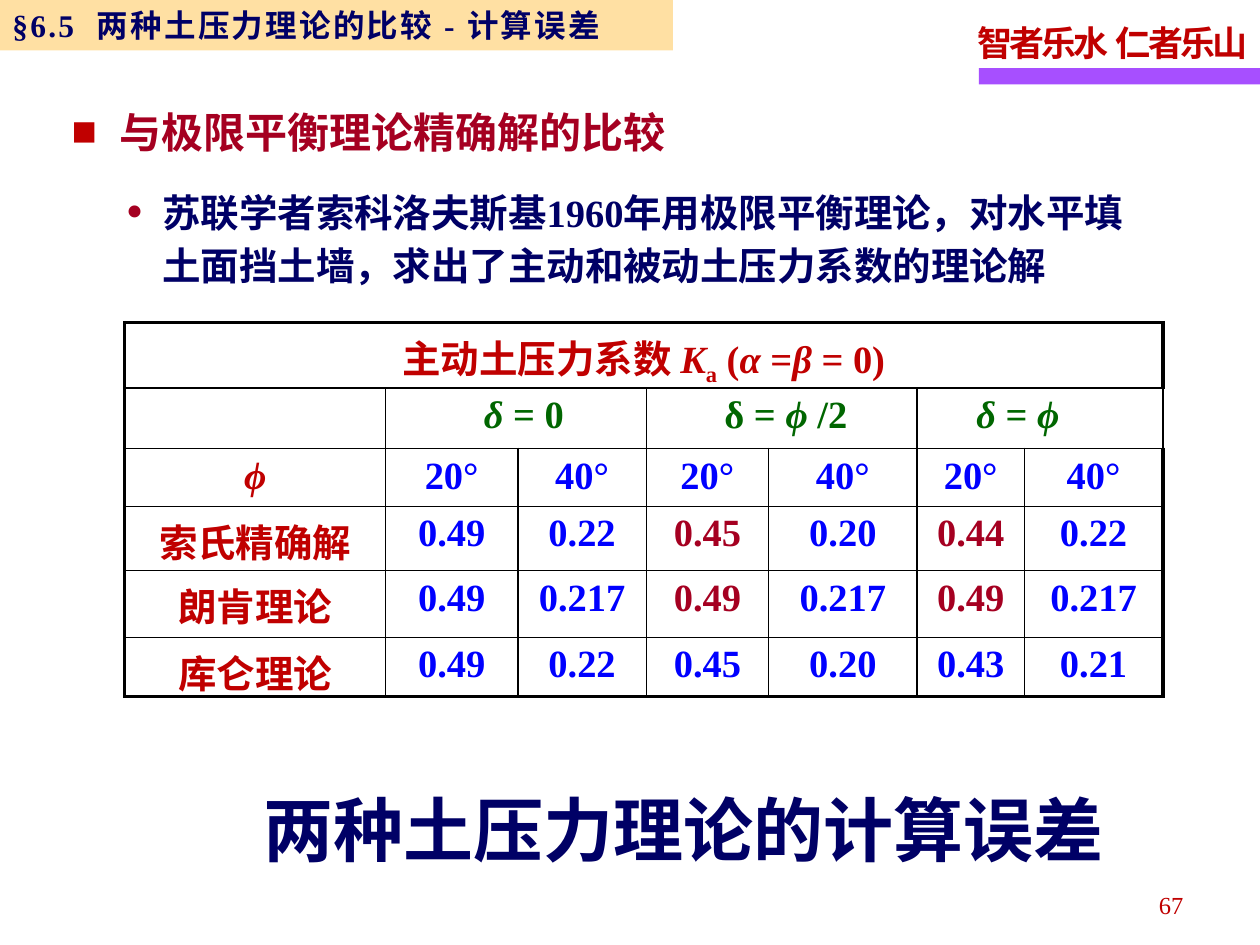
"""Slide comparing the calculation errors of two earth pressure theories."""
from lxml.etree import SubElement
from pptx import Presentation
from pptx.dml.color import RGBColor
from pptx.enum.shapes import MSO_SHAPE as SHAPE
from pptx.enum.text import MSO_ANCHOR as ANCHOR, PP_ALIGN as ALIGN
from pptx.oxml.ns import qn
from pptx.util import Inches, Pt

SERIF, SANS = "Times New Roman", "Noto Sans CJK SC"
RED, CRIMSON, NAVY = "C00000", "A50021", "000066"
BLUE, GREEN, BLACK = "0000FF", "006600", "000000"


def paint(fill, color):
    """Fill solidly with a hex colour."""
    fill.solid()
    fill.fore_color.rgb = RGBColor.from_string(color)


def style(run, size, color, face=SERIF, bold=True, italic=False, **attributes):
    """Format one run, with raw run attributes such as spc or baseline."""
    run.font.size, run.font.bold, run.font.italic = Pt(size), bold, italic
    run.font.name = face
    paint(run.font.fill, color)
    properties = run._r.get_or_add_rPr()
    SubElement(properties, qn("a:ea"), typeface=SANS)
    for key, value in attributes.items():
        properties.set(key, str(value))


prs = Presentation()
prs.slide_width, prs.slide_height = Inches(10), Inches(7.5)
slide = prs.slides.add_slide(prs.slide_layouts[6])

bars = []
for left, top, width, height, color in [
    (7.77, 0.54, 2.23, 0.13, "A74FFF"),
    (0, 0, 5.34, 0.4, "FFCC66"),
]:
    bar = slide.shapes.add_shape(
        SHAPE.RECTANGLE, Inches(left), Inches(top), Inches(width), Inches(height))
    bar.shadow.inherit = False
    bar.line.fill.background()
    paint(bar.fill, color)
    bars.append(bar)

section = bars[1]
tint = next(section._element.spPr.iter(qn("a:srgbClr")))
SubElement(tint, qn("a:alpha"), val="60000")
section.text_frame.text = "§6.5  两种土压力理论的比较 - 计算误差"
section.text_frame.word_wrap = True
section.text_frame.vertical_anchor = ANCHOR.MIDDLE
section.text_frame.paragraphs[0].alignment = ALIGN.LEFT
style(section.text_frame.paragraphs[0].runs[0], 18, NAVY, spc=130)

texts = [
    ("智者乐水  仁者乐山", (7.66, 0.07, 2.36, 0.49), ALIGN.LEFT, 1.15, None,
     dict(size=20, color=RED, spc=-170)),
    ("67", (7.16, 6.96, 2.33, 0.4), ALIGN.RIGHT, 1.15, None,
     dict(size=14, color=RED, bold=False)),
    ("与极限平衡理论精确解的比较", (0.47, 0.6, 5.66, 0.69), ALIGN.LEFT, 1.5,
     ("■", RED, 100, 0.38), dict(size=24, color=CRIMSON, face=SANS)),
    ("苏联学者索科洛夫斯基1960年用极限平衡理论，对水平填土面挡土墙，求出了主动和被动土压力系数的理论解",
     (0.9, 1.39, 8.39, 0.95), ALIGN.LEFT, Pt(30.3),
     ("•", CRIMSON, 130, 0.29), dict(size=22, color=NAVY)),
    ("两种土压力理论的计算误差", (1.94, 6.19, 6.97, 0.77), ALIGN.CENTER, 1.0, None,
     dict(size=40, color=NAVY, face=SANS)),
]
for words, place, alignment, spacing, bullet, look in texts:
    frame = slide.shapes.add_textbox(*map(Inches, place)).text_frame
    frame.word_wrap = words != texts[0][0]
    frame.vertical_anchor = ANCHOR.MIDDLE
    frame.text = words
    paragraph = frame.paragraphs[0]
    paragraph.alignment, paragraph.line_spacing = alignment, spacing
    if bullet:
        mark, color, percent, indent = bullet
        properties = paragraph._p.get_or_add_pPr()
        properties.set("marL", str(Inches(indent)))
        properties.set("indent", str(-Inches(indent)))
        SubElement(SubElement(properties, qn("a:buClr")), qn("a:srgbClr"), val=color)
        SubElement(properties, qn("a:buSzPct"), val=str(percent * 1000))
        SubElement(properties, qn("a:buFont"), typeface=SERIF)
        SubElement(properties, qn("a:buChar"), char=mark)
    style(paragraph.runs[0], **look)

widths = [2.07, 1.05, 1.02, 0.97, 1.18, 0.85, 1.1]
heights = [0.52, 0.48, 0.46, 0.51, 0.53, 0.47]
table_frame = slide.shapes.add_table(
    len(heights), len(widths), Inches(0.99), Inches(2.56),
    Inches(sum(widths)), Inches(sum(heights)))
coefficients = table_frame.table
coefficients.first_row = coefficients.horz_banding = False
for column, width in zip(coefficients.columns, widths):
    column.width = Inches(width)
for row, height in zip(coefficients.rows, heights):
    row.height = Inches(height)

coefficients.cell(0, 0).merge(coefficients.cell(0, 6))
for column in (1, 3, 5):
    coefficients.cell(1, column).merge(coefficients.cell(1, column + 1))

last_row, last_column = len(heights) - 1, len(widths) - 1
for row in range(len(heights)):
    for column in range(len(widths)):
        cell = coefficients.cell(row, column)
        cell.margin_bottom = 0
        properties = cell._tc.get_or_add_tcPr()
        for side, outer in [
            ("L", column == 0 or row == 0), ("R", column == last_column or row == 0),
            ("T", row == 0), ("B", row == last_row),
        ]:
            edge = SubElement(properties, qn("a:ln" + side), w=str(Pt(2.25 if outer else 1)))
            SubElement(SubElement(edge, qn("a:solidFill")), qn("a:srgbClr"), val=BLACK)
        cell.fill.background()

headings = [
    (0, 0, RED, None, [("主动土压力系数 ", {}), ("K", {"italic": True}),
                       ("a", {"baseline": -25000}), (" (", {}), ("α ", {"italic": True}),
                       ("=", {}), ("β ", {"italic": True}), ("= 0)", {})]),
    (1, 1, GREEN, 0.68, [("δ ", {"italic": True}), ("= 0", {})]),
    (1, 3, GREEN, 0.52, [("δ = ", {}), ("ϕ ", {"italic": True}), ("/2", {})]),
    (1, 5, GREEN, 0.37, [("δ ", {"italic": True}), ("= ", {}), ("ϕ", {"italic": True})]),
]
for row, column, color, indent, pieces in headings:
    paragraph = coefficients.cell(row, column).text_frame.paragraphs[0]
    if indent:
        paragraph._p.get_or_add_pPr().set("marL", str(Inches(indent)))
    else:
        paragraph.alignment = ALIGN.CENTER
    for words, look in pieces:
        run = paragraph.add_run()
        run.text = words
        style(run, 22, color, **look)

body = [
    ["ϕ", "20°", "40°", "20°", "40°", "20°", "40°"],
    ["索氏精确解", "0.49", "0.22", "0.45", "0.20", "0.44", "0.22"],
    ["朗肯理论", "0.49", "0.217", "0.49", "0.217", "0.49", "0.217"],
    ["库仑理论", "0.49", "0.22", "0.45", "0.20", "0.43", "0.21"],
]
contrasted = {(row, column) for row in (3, 4) for column in (3, 5)}
for row, values in enumerate(body, 2):
    for column, value in enumerate(values):
        cell = coefficients.cell(row, column)
        cell.text_frame.text = value
        paragraph = cell.text_frame.paragraphs[0]
        paragraph.alignment = ALIGN.CENTER
        color = RED if column == 0 else CRIMSON if (row, column) in contrasted else BLUE
        style(paragraph.runs[0], 22, color, italic=value == "ϕ")

prs.save("out.pptx")
